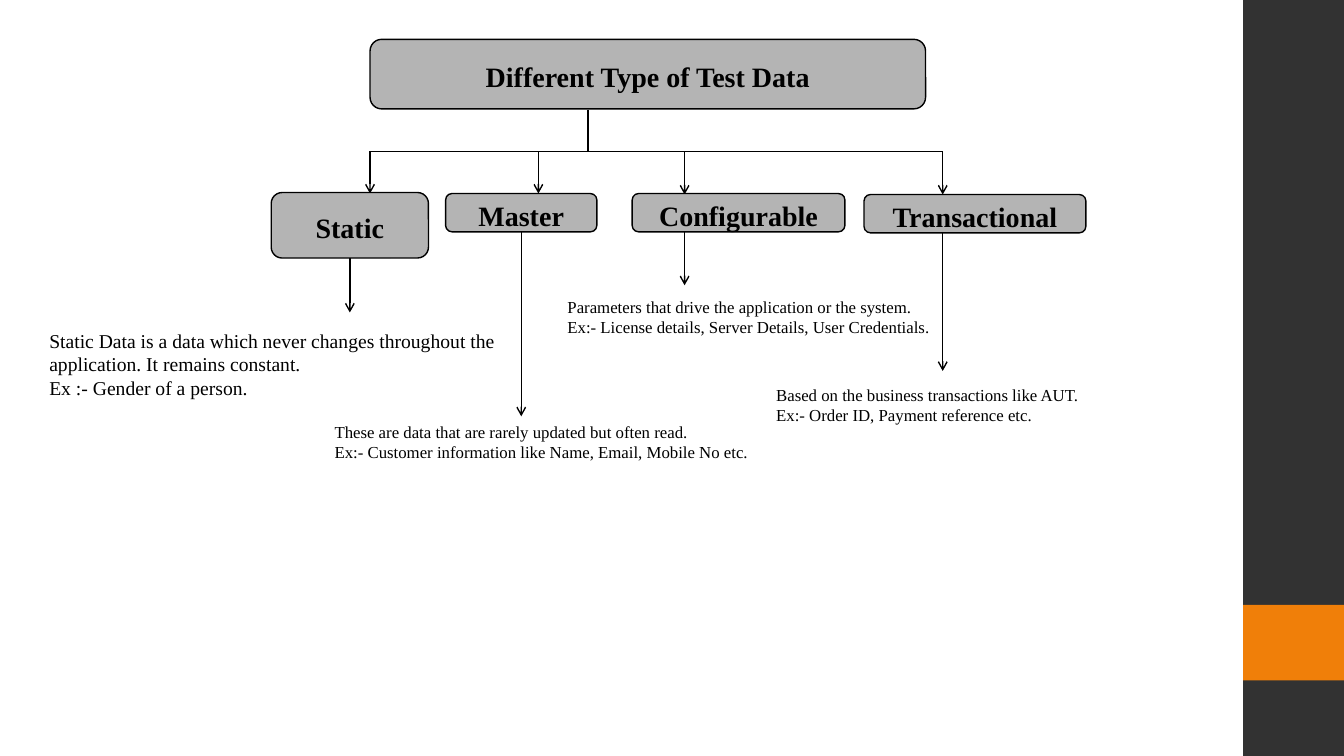
from lxml.etree import SubElement
from pptx import Presentation
from pptx.dml.color import RGBColor
from pptx.enum.shapes import MSO_CONNECTOR, MSO_SHAPE
from pptx.enum.text import MSO_ANCHOR, MSO_AUTO_SIZE, PP_ALIGN
from pptx.oxml.ns import qn
from pptx.util import Inches, Pt

COLORS = {"ink": "000000", "box": "B4B4B4", "sidebar": "323232", "accent": "F07F09"}

deck = Presentation()
deck.slide_width, deck.slide_height = Inches(13.33), Inches(7.5)
slide = deck.slides.add_slide(deck.slide_layouts[6])


def write(frame, lines, size, bold=False, align=PP_ALIGN.LEFT, spacing=None, after=None):
    frame.word_wrap = True
    for index, line in enumerate(lines):
        paragraph = frame.paragraphs[0] if index == 0 else frame.add_paragraph()
        paragraph.alignment = align
        paragraph.line_spacing = spacing
        paragraph.space_after = after
        run = paragraph.add_run()
        run.text = line
        run.font.name = "Times New Roman"
        run.font.size = Pt(size)
        run.font.bold = bold
        run.font.color.rgb = RGBColor.from_string(COLORS["ink"])


def connect(x1, y1, x2, y2, arrow=True):
    link = slide.shapes.add_connector(
        MSO_CONNECTOR.STRAIGHT, Inches(x1), Inches(y1), Inches(x2), Inches(y2))
    link.line.color.rgb = RGBColor.from_string(COLORS["ink"])
    link.line.width = Pt(1)
    if arrow:
        SubElement(link.line._get_or_add_ln(), qn("a:tailEnd"), type="arrow")
    SubElement(link._element.spPr, qn("a:effectLst"))
    return link


for top, height, color in [(0, 7.5, "sidebar"), (6, 0.75, "accent")]:
    band = slide.shapes.add_shape(
        MSO_SHAPE.RECTANGLE, Inches(12.33), Inches(top), Inches(1), Inches(height))
    band.shadow.inherit = False
    band.fill.solid()
    band.fill.fore_color.rgb = RGBColor.from_string(COLORS[color])
    band.line.fill.background()

branch_y = 1.5
connect(5.83, 1.09, 5.83, branch_y, arrow=False)
connect(3.67, branch_y, 9.35, branch_y, arrow=False)
for x, y in [(3.67, 1.92), (6.79, 1.93), (5.34, 1.92), (9.35, 1.93)]:
    connect(x, branch_y, x, y)

topics = {}
for label, left, top, width, height in [
    ("Different Type of Test Data", 3.67, 0.39, 5.51, 0.69),
    ("Static", 2.69, 1.91, 1.56, 0.65),
    ("Transactional", 8.57, 1.93, 2.2, 0.38),
    ("Master", 4.42, 1.92, 1.5, 0.38),
    ("Configurable", 6.27, 1.92, 2.11, 0.38),
]:
    topic = slide.shapes.add_shape(
        MSO_SHAPE.ROUNDED_RECTANGLE, Inches(left), Inches(top), Inches(width), Inches(height))
    topic.shadow.inherit = False
    topic.fill.solid()
    topic.fill.fore_color.rgb = RGBColor.from_string(COLORS["box"])
    topic.line.color.rgb = RGBColor.from_string(COLORS["ink"])
    topic.line.width = Pt(1)
    topic.text_frame.vertical_anchor = MSO_ANCHOR.MIDDLE
    write(topic.text_frame, [label], 20, bold=True, align=PP_ALIGN.CENTER,
          spacing=1.15, after=Pt(10))
    topics[label] = topic

for label, x, start, end, centred in [
    ("Static", 3.47, 2.56, 3.1, True),
    ("Transactional", 9.35, 2.3, 3.68, False),
    ("Master", 5.17, 2.3, 4.13, True),
    ("Configurable", 6.79, 2.3, 2.83, False),
]:
    pointer = connect(x, start, x, end)
    if centred:
        pointer.begin_connect(topics[label], 2)

for left, top, width, height, size, lines in [
    (0.39, 3.21, 4.95, 0.81, 14, [
        "Static Data is a data which never changes throughout the application. "
        "It remains constant.",
        "Ex :- Gender of a person."]),
    (3.22, 4.13, 6.67, 0.5, 12, [
        "These are data that are rarely updated but often read.",
        "Ex:- Customer information like Name, Email, Mobile No etc."]),
    (5.53, 2.89, 6.67, 0.5, 12, [
        "Parameters that drive the application or the system.",
        "Ex:- License details, Server Details, User Credentials."]),
    (7.6, 3.77, 6.67, 0.5, 12, [
        "Based on the business transactions like AUT.",
        "Ex:- Order ID, Payment reference etc."]),
]:
    description = slide.shapes.add_textbox(
        Inches(left), Inches(top), Inches(width), Inches(height))
    write(description.text_frame, lines, size)
    description.text_frame.auto_size = MSO_AUTO_SIZE.SHAPE_TO_FIT_TEXT

deck.save("out.pptx")
